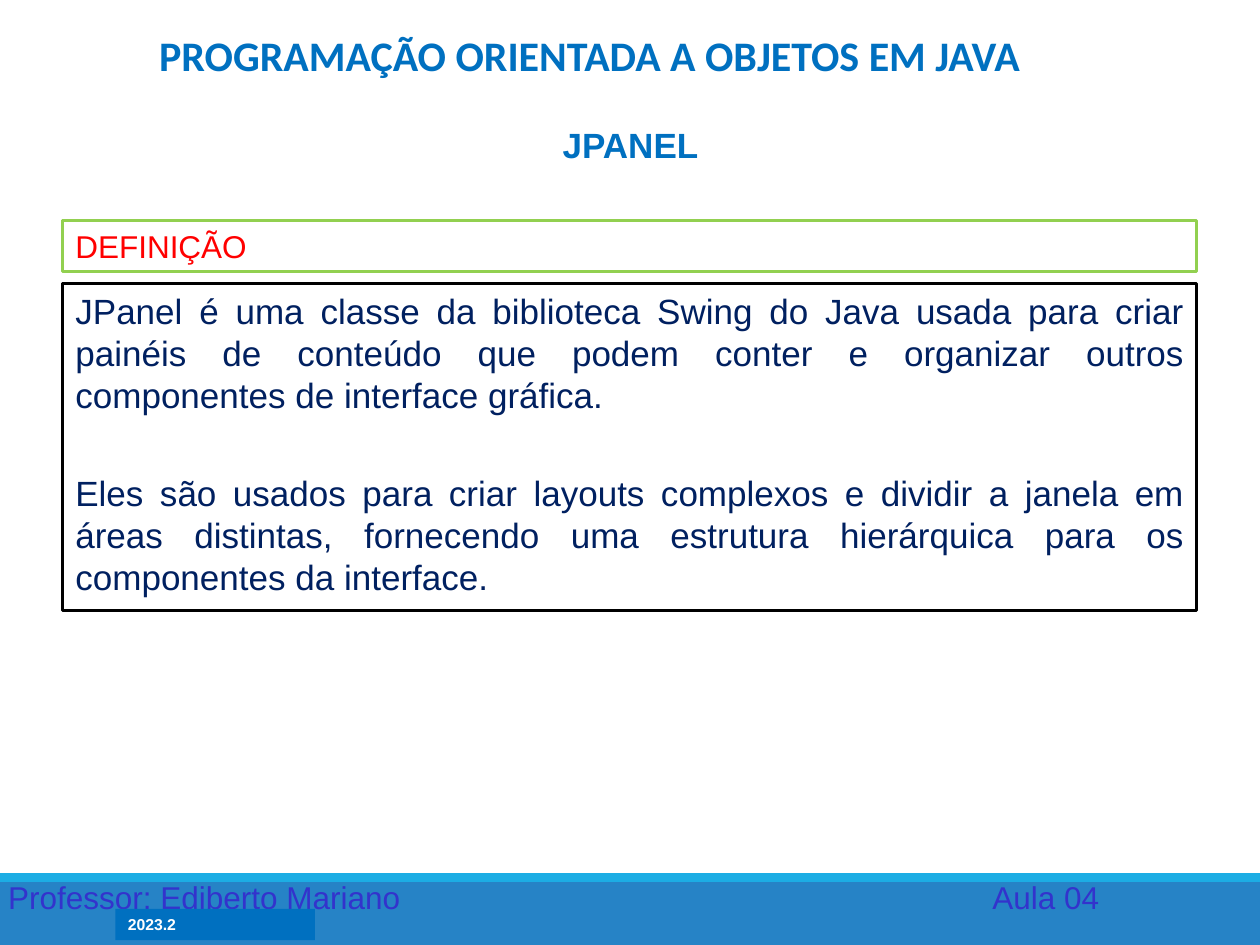
from pptx import Presentation
from pptx.dml.color import RGBColor
from pptx.enum import shapes, text
from pptx.util import Pt

WHITE = RGBColor(0xFF, 0xFF, 0xFF)
BLACK = RGBColor(0, 0, 0)
BLUE = RGBColor(0x00, 0x70, 0xC0)
NAVY = RGBColor(0x00, 0x20, 0x60)
RED = RGBColor(0xFF, 0, 0)
GREEN = RGBColor(0x92, 0xD0, 0x50)
INDIGO = RGBColor(0x33, 0x33, 0xCC)
FOOTER_BLUE = RGBColor(0x26, 0x83, 0xC6)
STRIPE_BLUE = RGBColor(0x1C, 0xAD, 0xE4)

LEFT, CENTER, JUSTIFY = (text.PP_ALIGN.LEFT, text.PP_ALIGN.CENTER,
                         text.PP_ALIGN.JUSTIFY)
TOP, MIDDLE, BOTTOM = (text.MSO_ANCHOR.TOP, text.MSO_ANCHOR.MIDDLE,
                       text.MSO_ANCHOR.BOTTOM)

deck = Presentation()
deck.slide_width, deck.slide_height = Pt(720), Pt(540)
page = deck.slides.add_slide(deck.slide_layouts[6])


def add_box(place, fill=None, line=None):
    box = page.shapes.add_shape(shapes.MSO_SHAPE.RECTANGLE, *map(Pt, place))
    box.shadow.inherit = False
    if fill is None:
        box.fill.background()
    else:
        box.fill.solid()
        box.fill.fore_color.rgb = fill
    if line is None:
        box.line.fill.background()
    else:
        box.line.color.rgb = line
        box.line.width = Pt(1.75)
    return box


def write(box, lines, size, color, align=LEFT, anchor=TOP, bold=False,
          font="Arial", gap=0):
    frame = box.text_frame
    frame.word_wrap = True
    frame.vertical_anchor = anchor
    frame.margin_left = frame.margin_right = Pt(7.2)
    frame.margin_top = frame.margin_bottom = Pt(3.6)
    for index, line in enumerate(lines):
        para = frame.add_paragraph() if index else frame.paragraphs[0]
        para.alignment = align
        para.space_before = Pt(gap if index else 0)
        span = para.add_run()
        span.text = line
        span.font.name = font
        span.font.size = Pt(size)
        span.font.bold = bold
        span.font.color.rgb = color


# Footer band
add_box((0, 499, 720, 41), FOOTER_BLUE)
add_box((0, 499, 720, 5), STRIPE_BLUE)
for left, width, label in ((-2.4, 400, "Professor: Ediberto Mariano"),
                           (560, 100, "Aula 04")):
    box = page.shapes.add_textbox(Pt(left), Pt(498), Pt(width), Pt(29))
    write(box, [label], 18, INDIGO)
write(add_box((66, 519.3, 114, 18), BLUE), ["2023.2"], 9, WHITE,
      anchor=MIDDLE, bold=True)

# Headings
subtitle = page.shapes.add_textbox(Pt(48.3), Pt(67), Pt(624), Pt(31.7))
write(subtitle, ["JPANEL"], 20, BLUE, CENTER, bold=True)
title = page.shapes.add_textbox(Pt(74.4), Pt(11.8), Pt(525), Pt(37.5))
write(title, ["PROGRAMAÇÃO ORIENTADA A OBJETOS EM JAVA"], 24, BLUE, CENTER,
      BOTTOM, bold=True, font="Calibri")

# Definition
write(add_box((36, 126, 648, 29.2), WHITE, GREEN), ["DEFINIÇÃO"], 18, RED,
      JUSTIFY)
write(add_box((36, 162, 648, 186.7), line=BLACK), [
    "JPanel é uma classe da biblioteca Swing do Java usada para criar "
    "painéis de conteúdo que podem conter e organizar outros componentes "
    "de interface gráfica.",
    "Eles são usados para criar layouts complexos e dividir a janela em "
    "áreas distintas, fornecendo uma estrutura hierárquica para os "
    "componentes da interface.",
], 20, NAVY, JUSTIFY, gap=32)

deck.save("out.pptx")
